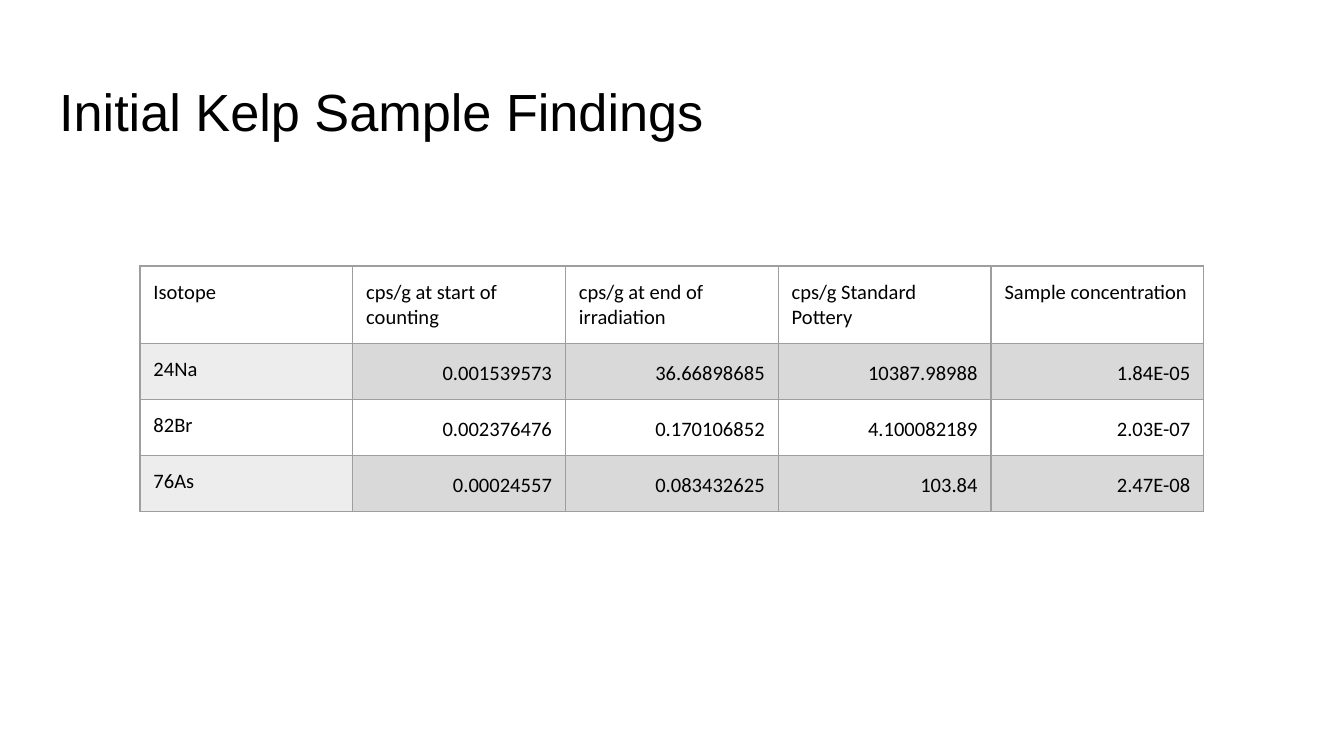
from lxml.etree import SubElement
from pptx import Presentation
from pptx.dml.color import RGBColor
from pptx.enum.text import MSO_ANCHOR as Anchor, PP_ALIGN as Align
from pptx.oxml.ns import qn
from pptx.util import Pt

TITLE = "Initial Kelp Sample Findings"
HEADINGS = ["Isotope", "cps/g at start of counting", "cps/g at end of irradiation",
            "cps/g Standard Pottery", "Sample concentration"]
FINDINGS = [
    ["24Na", "0.001539573", "36.66898685", "10387.98988", "1.84E-05"],
    ["82Br", "0.002376476", "0.170106852", "4.100082189", "2.03E-07"],
    ["76As", "0.00024557", "0.083432625", "103.84", "2.47E-08"],
]

BLACK, BORDER, ISOTOPE_BAND, VALUE_BAND = "000000", "9E9E9E", "EDEDED", "D9D9D9"
INSET = Pt(7.2)
COLUMN_WIDTH, ROW_HEIGHT = Pt(114), Pt(30)


def color(hex_code):
    return RGBColor.from_string(hex_code)


def write(frame, text, *, font, size, align=Align.LEFT, spacing=1.0):
    paragraph = frame.paragraphs[0]
    paragraph.text = text
    paragraph.alignment = align
    paragraph.line_spacing = spacing
    paragraph.font.name = font
    paragraph.font.size = Pt(size)
    paragraph.font.color.rgb = color(font_color := BLACK)


def set_insets(box):
    box.margin_left = box.margin_right = box.margin_top = box.margin_bottom = INSET


def fill_cell(cell, hex_code):
    if hex_code:
        cell.fill.solid()
        cell.fill.fore_color.rgb = color(hex_code)
    else:
        cell.fill.background()


def add_borders(cell):
    """Outline all four sides; border elements must precede the fill."""
    properties = cell._tc.get_or_add_tcPr()
    for position, side in enumerate(("a:lnL", "a:lnR", "a:lnT", "a:lnB")):
        line = SubElement(properties, qn(side), w=str(Pt(0.75)))
        solid = SubElement(line, qn("a:solidFill"))
        SubElement(solid, qn("a:srgbClr"), val=BORDER)
        properties.insert(position, line)


def add_title(slide):
    title = slide.shapes.title
    title.left, title.top, title.width, title.height = Pt(24.5), Pt(35), Pt(671), Pt(45.1)
    set_insets(title.text_frame)
    title.text_frame.word_wrap = True
    title.text_frame.vertical_anchor = Anchor.TOP
    write(title.text_frame, TITLE, font="Arial", size=28)


def add_findings(slide):
    rows = [HEADINGS] + FINDINGS
    table = slide.shapes.add_table(
        len(rows), len(HEADINGS), Pt(75), Pt(142.5),
        COLUMN_WIDTH * len(HEADINGS), ROW_HEIGHT * len(rows)).table
    table.first_row = table.horz_banding = False
    for column in table.columns:
        column.width = COLUMN_WIDTH
    for r, row in enumerate(rows):
        for c, text in enumerate(row):
            cell = table.cell(r, c)
            is_value = r > 0 and c > 0
            band = VALUE_BAND if is_value else ISOTOPE_BAND
            set_insets(cell)
            fill_cell(cell, band if r % 2 else None)
            add_borders(cell)
            write(cell.text_frame, text, font="Calibri", size=11,
                  align=Align.RIGHT if is_value else Align.LEFT,
                  spacing=1.15 if is_value else 1.0)


def main():
    deck = Presentation()
    deck.slide_width, deck.slide_height = Pt(720), Pt(405)
    slide = deck.slides.add_slide(deck.slide_layouts[5])
    add_title(slide)
    add_findings(slide)
    deck.save("out.pptx")


if __name__ == "__main__":
    main()
